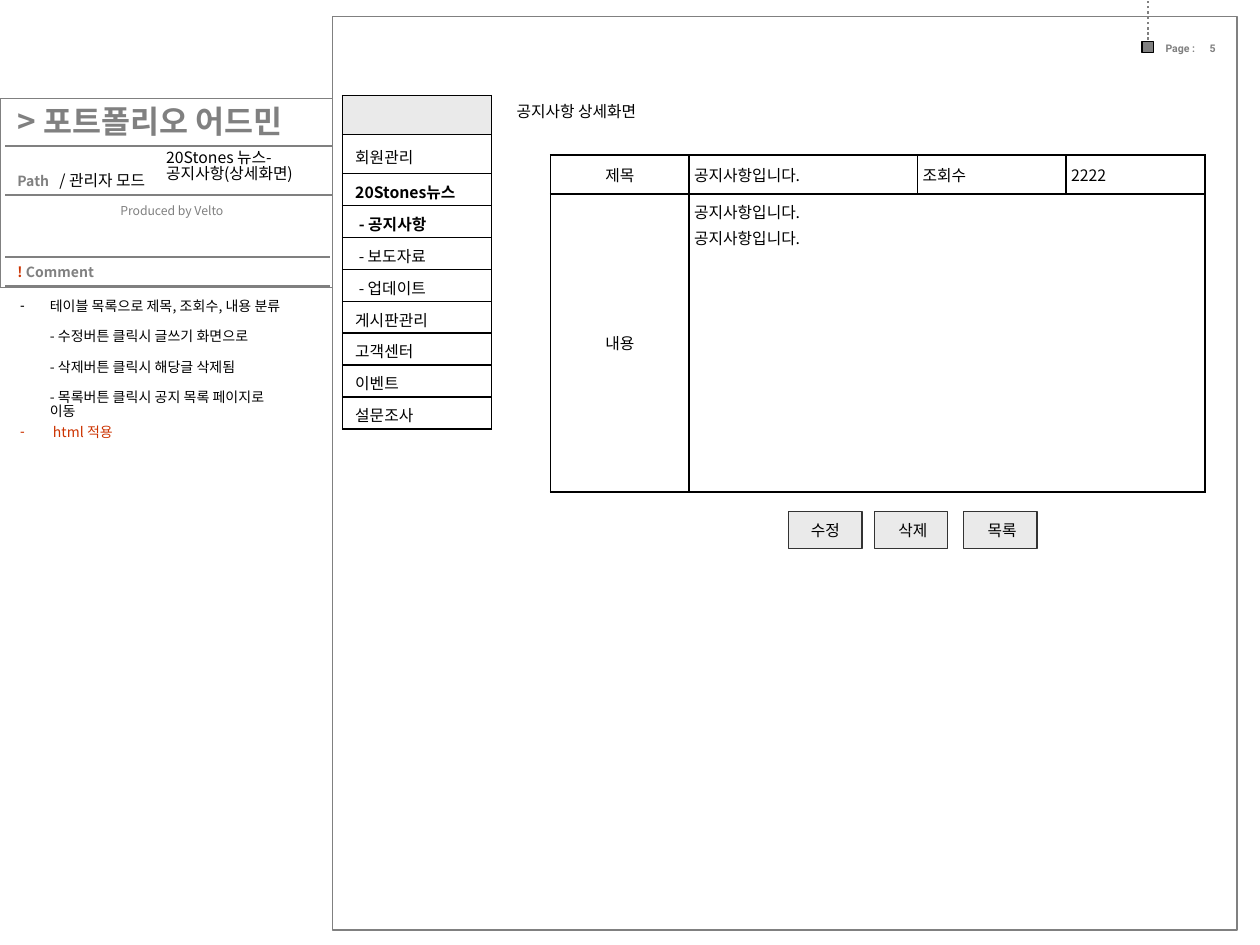
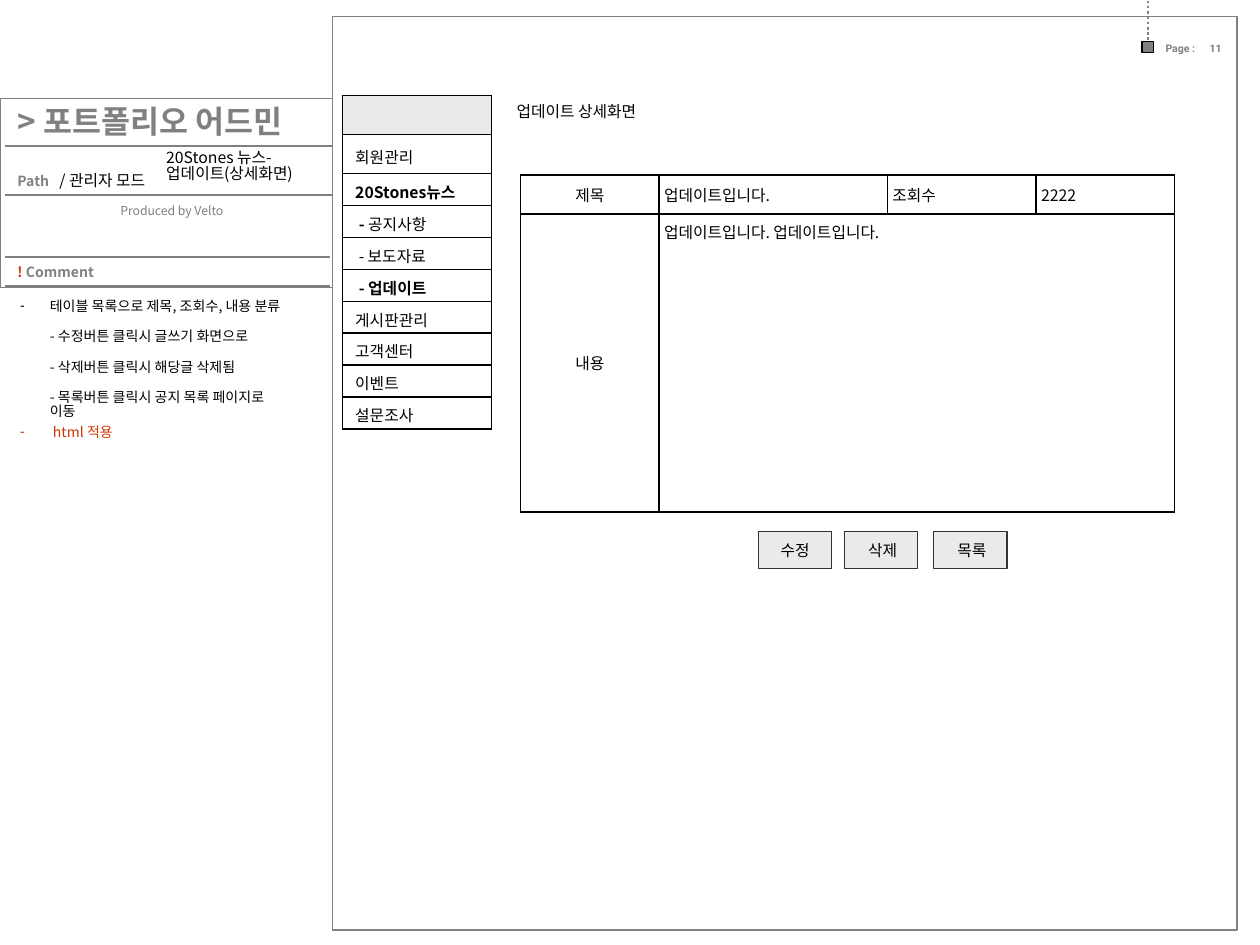
from lxml.etree import SubElement
from pptx import Presentation
from pptx.dml.color import RGBColor as RGB
from pptx.enum.dml import MSO_LINE as DASH
from pptx.enum.shapes import MSO_CONNECTOR as CONN, MSO_SHAPE as SHAPE
from pptx.enum.text import MSO_ANCHOR as ANCHOR, MSO_AUTO_SIZE as AUTO, PP_ALIGN as ALIGN
from pptx.oxml import parse_xml
from pptx.oxml.ns import nsdecls, qn
from pptx.util import Pt

INK = {"gray": "808080", "black": "000000", "red": "CC3300", "pale": "EAEAEA", "edge": "333333"}
SANS, ROBO = "Noto Sans CJK KR", "Roboto"
TIGHT = 0.83
BRAND = "20Stones"
NAV = [
    ("", "회원관리"), ("", BRAND + "뉴스"), (" - ", "공지사항"), (" - ", "보도자료"),
    (" - ", "업데이트"), ("", "게시판관리"), ("", "고객센터"), ("", "이벤트"), ("", "설문조사"),
]
NOTES = [
    ("테이블 목록으로 제목, 조회수, 내용 분류", "black", True, 0),
    ("- 수정버튼 클릭시 글쓰기 화면으로", "black", False, 9.5),
    ("- 삭제버튼 클릭시 해당글 삭제됨", "black", False, 9.5),
    ("- 목록버튼 클릭시 공지 목록 페이지로 이동", "black", False, 9.5),
    (" html 적용", "red", True, 4),
]
PAGES = [
    dict(no="5", name="공지사항", at=(314.6, 88.6), body=["공지사항입니다."] * 2),
    dict(no="11", name="업데이트", at=(297.4, 100.1), body=["업데이트입니다. 업데이트입니다."]),
]


def color(key):
    """Return the named colour."""
    return RGB.from_string(INK[key])


def write(para, text, size=9, ink="black", bold=False, face=SANS):
    """Add one run to a paragraph."""
    run = para.add_run()
    run.text = text
    font = run.font
    font.name, font.size, font.bold = face, Pt(size), bold
    font.color.rgb = color(ink)
    SubElement(run._r.get_or_add_rPr(), qn("a:ea"), typeface=face)


def frame(shape, pads, anchor=ANCHOR.MIDDLE):
    """Set insets (left, top, right, bottom) and anchor, and return the text frame."""
    text = shape.text_frame
    text.word_wrap, text.auto_size = True, AUTO.NONE
    text.vertical_anchor = anchor
    text.margin_left, text.margin_top, text.margin_right, text.margin_bottom = map(Pt, pads)
    return text


def label(slide, box, runs, pad=7.2, align=ALIGN.LEFT):
    """Add a one-line text box, centred vertically."""
    text = frame(slide.shapes.add_textbox(*map(Pt, box)), (pad, 0, pad, 0))
    para = text.paragraphs[0]
    para.alignment = align
    for run in runs:
        write(para, **run)


def rect(slide, box, fill=None, line="gray", width=1):
    """Add a flat rectangle."""
    shape = slide.shapes.add_shape(SHAPE.RECTANGLE, *map(Pt, box))
    shape.shadow.inherit = False
    if fill:
        shape.fill.solid()
        shape.fill.fore_color.rgb = color(fill)
    else:
        shape.fill.background()
    shape.line.color.rgb = color(line)
    shape.line.width = Pt(width)
    return shape


def rule(slide, x1, y1, x2, y2, width=1, dash=None):
    """Add a straight gray line."""
    line = slide.shapes.add_connector(CONN.STRAIGHT, *map(Pt, (x1, y1, x2, y2)))
    line.line.color.rgb = color("gray")
    line.line.width = Pt(width)
    if dash:
        line.line.dash_style = dash
    SubElement(line._element.spPr, qn("a:effectLst"))


def panel(slide, box):
    """Draw the left panel with project name, path and comment bands."""
    x, y, w, h = box
    gray = dict(ink="gray", bold=True)
    left = x + 2.9
    label(slide, (left, y - 1.2, 186, 28.6), [dict(text="> 포트폴리오 어드민", size=18, **gray)])
    label(slide, (left, y + 38, 40, 18), [dict(text="Path", size=8, **gray)])
    label(slide, (x + 31, y + 38, 70, 18), [dict(text="/ 관리자 모드")], pad=2.9)
    label(slide, (left, y + 57, 131.8, 14), [dict(text="Produced by Velto", size=7, ink="gray")],
          align=ALIGN.RIGHT)
    label(slide, (left, y + 91, 131.8, 16.5),
          [dict(text="!", size=8, ink="red", bold=True), dict(text=" Comment", size=8, **gray)])
    for down, end in ((27.4, w), (55.4, w), (90.8, w - 1.4), (107.3, w - 1.4)):
        rule(slide, left, y + down, x + end, y + down)
    rect(slide, box, width=0.75)


def sheet(slide, box, no):
    """Draw the page frame with its marker and page number."""
    x, y, w, h = box
    right = x + w
    for dx, dy, wide, text in ((-47.5, 11.2, 37.4, "Page :"), (-22.3, 11.5, 30, no)):
        label(slide, (right + dx, y + dy, wide, 14),
              [dict(text=text, size=6, ink="gray", bold=True, face=ROBO)], pad=6.5)
    rule(slide, right - 51, y + 16.5, right - 51, 0.7, 1.5, DASH.ROUND_DOT)
    rect(slide, (right - 54.4, y + 14.2, 6.5, 6.5), "gray", "black", 0.75)
    rect(slide, box)


def head(slide, box, name):
    """Fill the title placeholder with the two-line path."""
    title = slide.shapes.title
    title.left, title.top, title.width, title.height = map(Pt, box)
    para = frame(title, (7.2, 3.6, 0, 0), ANCHOR.TOP).paragraphs[0]
    para.alignment, para.line_spacing = ALIGN.LEFT, TIGHT
    write(para, BRAND + " 뉴스-")
    para.add_line_break()
    write(para, name + "(상세화면)")


def notes(slide, box):
    """Fill the body placeholder with the comment list."""
    body = slide.placeholders[1]
    body.left, body.top, body.width, body.height = map(Pt, box)
    text = frame(body, (2.9, 3.6, 10, 3.6), ANCHOR.TOP)
    for i, (line, ink, mark, gap) in enumerate(NOTES):
        para = text.add_paragraph() if i else text.paragraphs[0]
        para.line_spacing, para.space_before = TIGHT, Pt(gap)
        props = para._p.get_or_add_pPr()
        props.set("marL", str(Pt(17)))
        props.set("indent", str(Pt(-17 if mark else 0)))
        if mark:
            SubElement(props, qn("a:buChar"), char="-")
        else:
            SubElement(props, qn("a:buNone"))
        write(para, line, 8, ink)


def grid(slide, at, cols, rows):
    """Add a plain table with black borders."""
    box = (*at, sum(cols), sum(rows))
    table = slide.shapes.add_table(len(rows), len(cols), *map(Pt, box)).table
    table.first_row = table.horz_banding = False
    for col, wide in zip(table.columns, cols):
        col.width = Pt(wide)
    for row, high in zip(table.rows, rows):
        row.height = Pt(high)
    for cell in table.iter_cells():
        cell.fill.background()
        props = cell._tc.get_or_add_tcPr()
        for i, side in enumerate("LRTB"):
            props.insert(i, parse_xml(
                f'<a:ln{side} {nsdecls("a")} w="{Pt(1)}"><a:solidFill>'
                f'<a:srgbClr val="{INK["black"]}"/></a:solidFill></a:ln{side}>'))
    return table


def pad(cell, side, top, low, anchor=ANCHOR.MIDDLE):
    """Set the margins and anchor of a cell, and return its first paragraph."""
    cell.margin_left = cell.margin_right = Pt(side)
    cell.margin_top, cell.margin_bottom = Pt(top), Pt(low)
    cell.vertical_anchor = anchor
    return cell.text_frame.paragraphs[0]


def menu(slide, at, name):
    """Draw the side menu with the current entry in bold."""
    table = grid(slide, at, [85], [22.3] * 2 + [18.25] * 8)
    top = table.cell(0, 0)
    top.fill.solid()
    top.fill.fore_color.rgb = color("pale")
    pad(top, 7.2, 3.6, 1.4)._p.get_or_add_endParaRPr().set("sz", "900")
    for i, (dash, item) in enumerate(NAV, 1):
        para = pad(table.cell(i, 0), 7.2, 3.6, 1.4)
        if dash:
            write(para, dash, bold=item in (name, "공지사항"))
        write(para, item, bold=item == name or item.startswith(BRAND))


def detail(slide, at, name, body):
    """Draw the detail table and the buttons below it."""
    x, y = at
    table = grid(slide, at, [79.2, 130.5, 85, 79.2], [22.3, 170.2])
    for i, text in enumerate(("제목", name + "입니다.", "조회수", "2222")):
        para = pad(table.cell(0, i), 2.9, 0, 0)
        para.alignment = ALIGN.LEFT if i else ALIGN.CENTER
        write(para, text)
    side = pad(table.cell(1, 0), 2.9, 3.6, 3.6)
    side.alignment = ALIGN.CENTER
    write(side, "내용")
    main = table.cell(1, 1)
    main.merge(table.cell(1, 3))
    para = pad(main, 2.9, 3.6, 3.6, ANCHOR.TOP)
    for i, line in enumerate(body):
        if i:
            para = main.text_frame.add_paragraph()
            para.space_before = Pt(1.8)
        write(para, line)
    for dx, text in ((136, "수정"), (185, " 삭제"), (236, " 목록")):
        key = rect(slide, (x + dx, y + 203.8, 42, 21), "pale", "edge", 0.75)
        para = frame(key, (0, 0, 0, 0)).paragraphs[0]
        para.alignment = ALIGN.CENTER
        write(para, text)


def build(deck, no, name, at, body):
    """Add one detail-screen slide."""
    slide = deck.slides.add_slide(deck.slide_layouts[1])
    panel(slide, (0, 56.2, 190, 108))
    sheet(slide, (190, 9.4, 517, 522), no)
    head(slide, (87.8, 82.8, 101.5, 32), name)
    notes(slide, (8.6, 167.8, 162.7, 110))
    menu(slide, (195.8, 54.7), name)
    label(slide, (292.3, 54.7, 90, 18), [dict(text=name + " 상세화면")], pad=2.9)
    detail(slide, at, name, body)


deck = Presentation()
deck.slide_width, deck.slide_height = Pt(720), Pt(540)
for page in PAGES:
    build(deck, **page)
deck.save("out.pptx")
